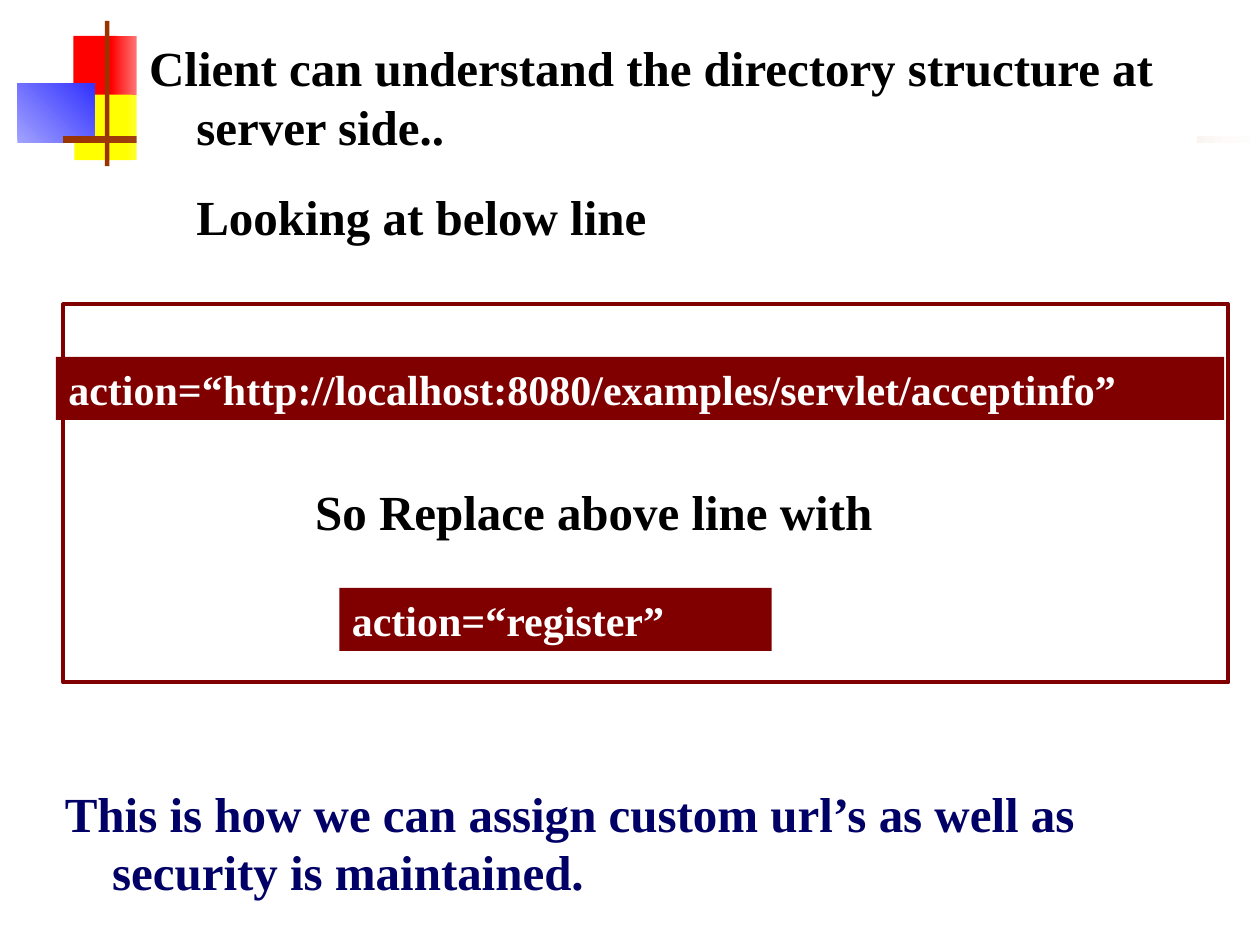
import pptx
import pptx.util
import pptx.dml.color
import pptx.enum.shapes
import pptx.enum.text

Pt = pptx.util.Pt
RGB = pptx.dml.color.RGBColor
RED = RGB(0xFF, 0x00, 0x00)
PINK = RGB(0xFF, 0xD1, 0xD1)
YELLOW = RGB(0xFF, 0xFF, 0x00)
CREAM = RGB(0xFF, 0xFF, 0xF0)
LILAC = RGB(0xA2, 0xA2, 0xFF)
BLUE = RGB(0x33, 0x33, 0xFF)
BROWN = RGB(0x99, 0x33, 0x00)
MAROON = RGB(0x80, 0x00, 0x00)
NAVY = RGB(0x00, 0x00, 0x66)
BLACK = RGB(0x00, 0x00, 0x00)
WHITE = RGB(0xFF, 0xFF, 0xFF)


def write(frame, *lines, size=28, color=BLACK, gap=17.5, hang=27):
    frame.word_wrap = True
    frame.auto_size = pptx.enum.text.MSO_AUTO_SIZE.NONE
    frame.vertical_anchor = pptx.enum.text.MSO_ANCHOR.TOP
    for i, line in enumerate(lines):
        para = frame.add_paragraph() if i else frame.paragraphs[0]
        para.alignment = pptx.enum.text.PP_ALIGN.LEFT
        para.space_before = Pt(gap)
        props = para._p.get_or_add_pPr()
        props.set("marL", str(Pt(hang)))
        props.set("indent", str(0 if i else -Pt(hang)))
        run = para.add_run()
        run.text = line
        run.font.name = "Times New Roman"
        run.font.size = Pt(size)
        run.font.bold = True
        run.font.color.rgb = color


class Deck:
    def __init__(self, width, height):
        self.show = pptx.Presentation()
        self.show.slide_width = Pt(width)
        self.show.slide_height = Pt(height)
        self.slide = self.show.slides.add_slide(self.show.slide_layouts[5])

    def rect(self, box, fill=None, fade=None, angle=0, line=None):
        kind = pptx.enum.shapes.MSO_SHAPE.RECTANGLE
        shape = self.slide.shapes.add_shape(kind, *map(Pt, box))
        shape.shadow.inherit = False
        if fade:
            shape.fill.gradient()
            shape.fill.gradient_angle = angle
            for stop, color in zip(shape.fill.gradient_stops, (fill, fade)):
                stop.color.rgb = color
        elif fill:
            shape.fill.solid()
            shape.fill.fore_color.rgb = fill
        else:
            shape.fill.background()
        if line:
            shape.line.color.rgb = line
            shape.line.width = Pt(2.25)
        else:
            shape.line.fill.background()
        return shape

    def code(self, box, text):
        shape = self.rect(box, MAROON)
        write(shape.text_frame, text, size=24, color=WHITE, gap=6)

    def note(self, box, text, **style):
        shape = self.slide.shapes.add_textbox(*map(Pt, box))
        write(shape.text_frame, text, **style)

    def title(self, box, *lines):
        shape = self.slide.shapes.title
        shape.left, shape.top, shape.width, shape.height = map(Pt, box)
        shape.fill.solid()
        shape.fill.fore_color.rgb = WHITE
        write(shape.text_frame, *lines)
        self.slide.shapes._spTree.append(shape._element)


def main():
    deck = Deck(720, 540)
    deck.rect((42, 20.5, 25, 37.5), RED)
    deck.rect((63.5, 20.5, 26, 37.5), RED, PINK)
    deck.rect((42.5, 54, 33, 37.5), YELLOW)
    deck.rect((72, 54, 29, 37.5), YELLOW, CREAM)
    deck.rect((10, 48, 44, 33.5), LILAC, BLUE, 45)
    deck.rect((60, 12, 2.5, 83), BROWN)
    deck.rect((36, 77.5, 684, 4), BROWN, WHITE)
    deck.code((32, 204, 667.5, 36),
              "action=“http://localhost:8080/examples/servlet/acceptinfo”")
    deck.note((173, 271.5, 337, 41), "So Replace above line with")
    deck.code((194, 336, 247, 36), "action=“register”")
    deck.title((78, 18, 606, 126),
               "Client can understand the directory structure at server side..",
               "Looking at below line")
    deck.note((30, 444, 660, 75),
              "This is how we can assign custom url’s as well as security is maintained.",
              color=NAVY)
    deck.rect((36, 174, 666, 216), line=MAROON)
    deck.show.save("out.pptx")


if __name__ == "__main__":
    main()
